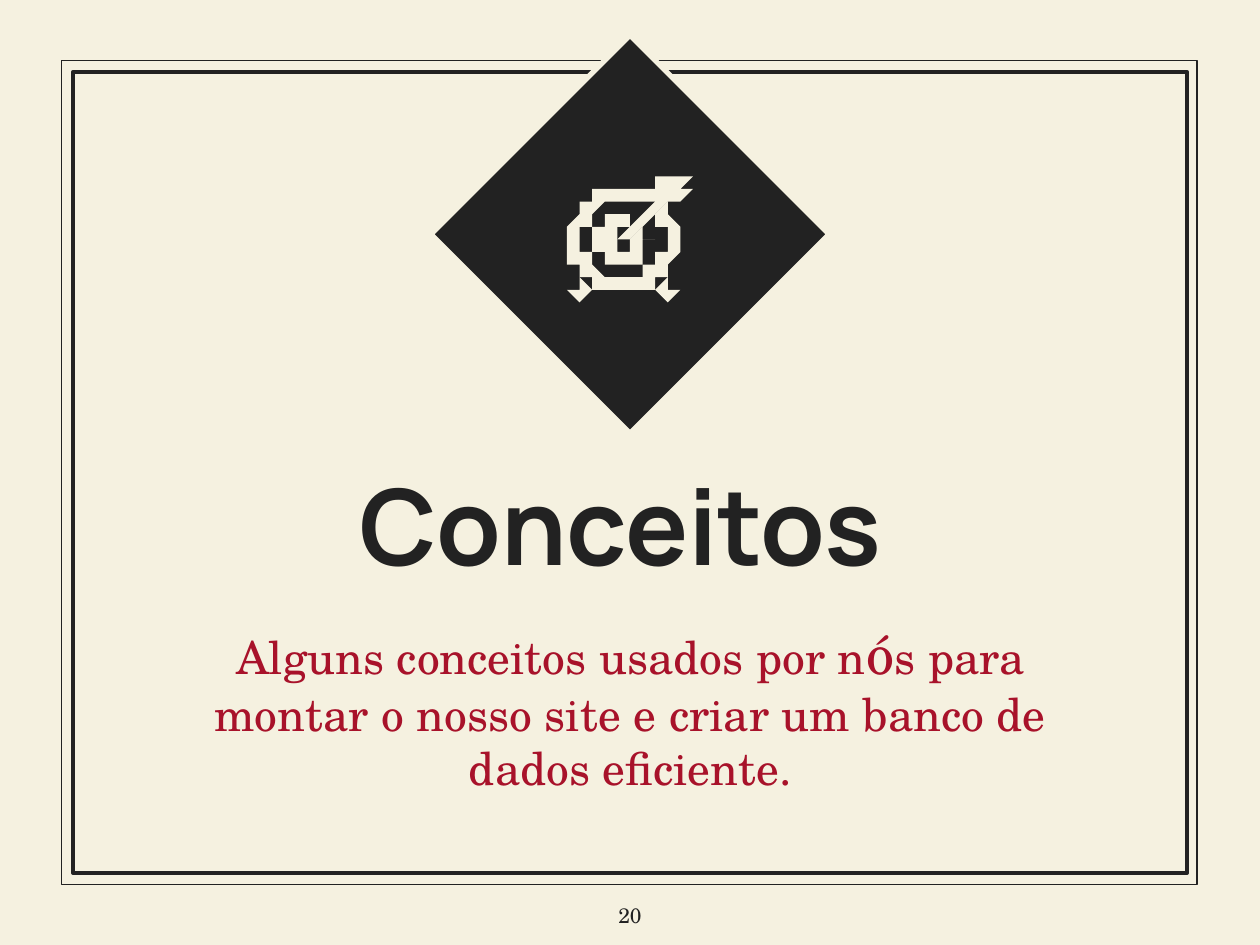
import math

import pptx
import pptx.dml.color
import pptx.enum.shapes
import pptx.enum.text
import pptx.util

COLORS = {"paper": "F5F1E0", "ink": "222222", "accent": "A8122A"}
HEADING_FONT = "Manrope"
BODY_FONT = "TeX Gyre Schola"
COLUMNS, ROWS = 100, 75
UNIT = pptx.util.Inches(0.1)
TARGET_CENTER = (49.45, 19.0)

LEFT_LEG = [(46.2, 22.2), (45.5, 22.9), (45.4, 23.2), (45.5, 23.6), (45.8, 23.8),
            (46.1, 23.8), (46.3, 23.7), (47.0, 23.0), (47.1, 22.9), (46.6, 22.6)]
ARROW = [(53.3, 13.5), (52.2, 14.5), (52.1, 14.8), (52.1, 15.1), (52.2, 15.8),
         (49.2, 18.8), (49.2, 19.2), (49.4, 19.3), (49.6, 19.2), (52.7, 16.2),
         (53.3, 16.3), (53.6, 16.2), (53.8, 16.1), (54.8, 15.2), (54.9, 15.0),
         (54.7, 14.9), (54.1, 14.8), (54.7, 14.2), (54.7, 13.8), (54.4, 13.7),
         (54.3, 13.8), (53.6, 14.4), (53.5, 13.7), (53.4, 13.5)]


def color(name):
    return pptx.dml.color.RGBColor.from_string(COLORS[name])


def grid(*cells):
    return [round(cell * UNIT) for cell in cells]


def paint(shape, fill=None, line=None, width=0):
    shape.shadow.inherit = False
    if fill:
        shape.fill.solid()
        shape.fill.fore_color.rgb = color(fill)
    else:
        shape.fill.background()
    if line:
        shape.line.color.rgb = color(line)
        shape.line.width = pptx.util.Pt(width)
    else:
        shape.line.fill.background()


def add_preset(page, kind, cells, **style):
    paint(page.shapes.add_shape(kind, *grid(*cells)), **style)


def add_outline(group, points):
    builder = group.shapes.build_freeform(*points[0], scale=UNIT)
    builder.add_line_segments(points[1:], close=True)
    paint(builder.convert_to_shape(), fill="paper")


def arc(radius, gap):
    center_x, center_y = TARGET_CENTER
    steps = 60
    angles = [math.radians(45 + gap + (360 - 2 * gap) * step / steps)
              for step in range(steps + 1)]
    return [(center_x + radius * math.cos(angle), center_y - radius * math.sin(angle))
            for angle in angles]


def ring(outer, inner, outer_gap, inner_gap):
    return arc(outer, outer_gap) + arc(inner, inner_gap)[::-1]


def add_target(page):
    group = page.shapes.add_group_shape()
    right_leg = [(2 * TARGET_CENTER[0] - x, y) for x, y in LEFT_LEG]
    for points in (ring(4.3, 3.15, 9, 10), ring(2.07, 0.95, 16, 34),
                   LEFT_LEG, right_leg, ARROW):
        add_outline(group, points)


def write(box, cells, runs, font, ink, bold=False, anchor="TOP"):
    box.left, box.top, box.width, box.height = grid(*cells)
    frame = box.text_frame
    frame.word_wrap = True
    frame.auto_size = pptx.enum.text.MSO_AUTO_SIZE.NONE
    frame.vertical_anchor = pptx.enum.text.MSO_ANCHOR[anchor]
    frame.margin_left = frame.margin_right = UNIT
    frame.margin_top = frame.margin_bottom = UNIT
    para = frame.paragraphs[0]
    para.alignment = pptx.enum.text.PP_ALIGN.CENTER
    for text, size in runs:
        span = para.add_run()
        span.text = text
        span.font.name = font
        span.font.size = pptx.util.Pt(size)
        span.font.bold = bold
        span.font.color.rgb = color(ink)


def add_text(page, cells, runs, ink):
    write(page.shapes.add_textbox(*grid(*cells)), cells, runs, BODY_FONT, ink)


def main():
    deck = pptx.Presentation()
    deck.slide_width, deck.slide_height = grid(COLUMNS, ROWS)
    page = deck.slides.add_slide(deck.slide_layouts[5])
    page.background.fill.solid()
    page.background.fill.fore_color.rgb = color("paper")

    shapes = pptx.enum.shapes.MSO_SHAPE
    add_preset(page, shapes.RECTANGLE, (4.9, 4.8, 90.1, 65.4), line="ink", width=0.75)
    add_preset(page, shapes.RECTANGLE, (5.8, 5.7, 88.4, 63.6), line="ink", width=2.25)
    write(page.shapes.title, (15.8, 33.1, 68.5, 16.9), [("Conceitos ", 60)],
          HEADING_FONT, "ink", bold=True, anchor="MIDDLE")
    add_text(page, (15.8, 48.1, 68.5, 11.4),
             [("Alguns conceitos usados por n", 26), ("ó", 32),
              ("s para montar o nosso site e criar um banco de dados eficiente.", 26)],
             "accent")
    add_preset(page, shapes.DIAMOND, (34.2, 2.8, 31.6, 31.6),
               fill="ink", line="paper", width=3)
    add_target(page)
    add_text(page, (47, 70.6, 6, 4.4), [("20", 12)], "ink")
    deck.save("out.pptx")


if __name__ == "__main__":
    main()
